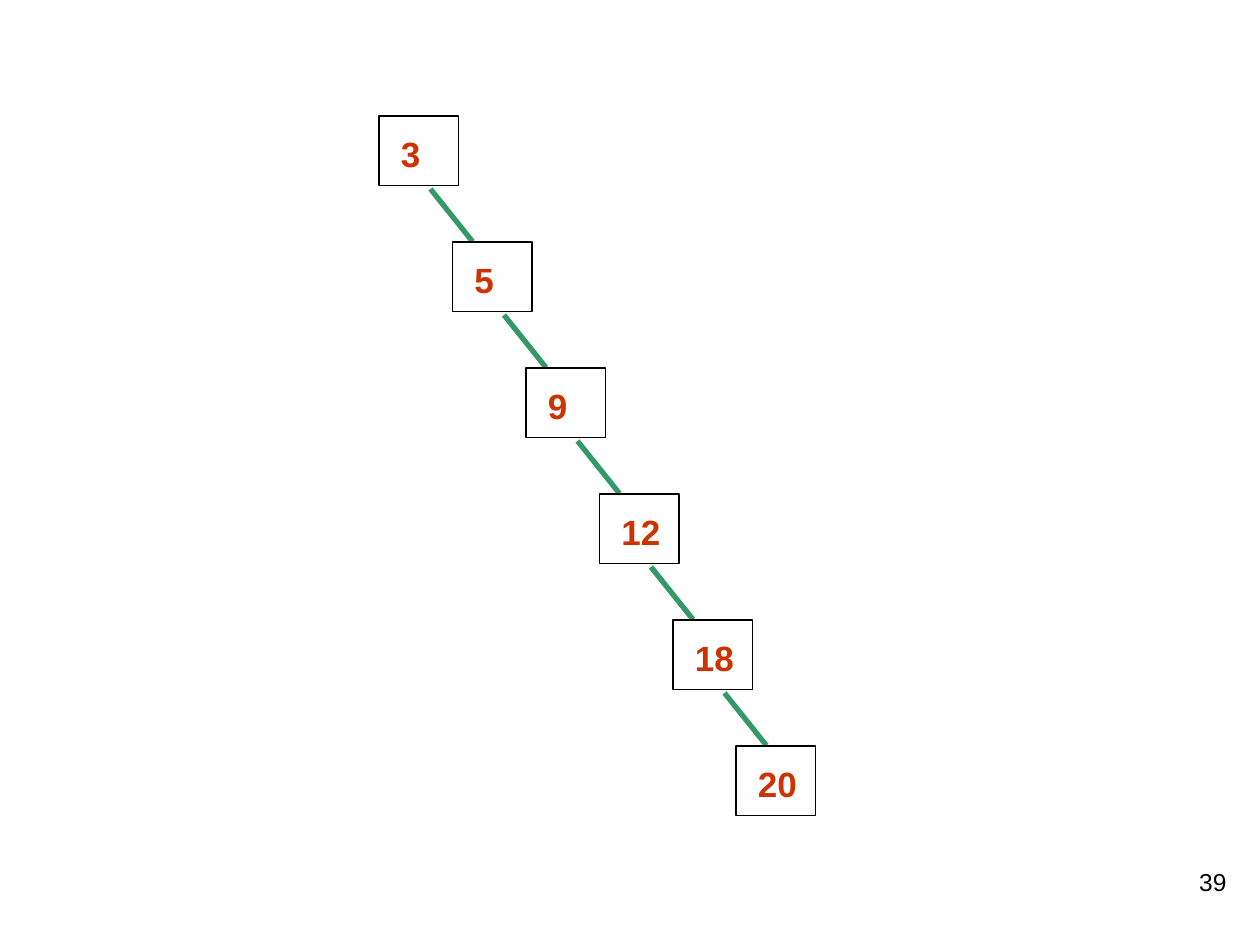
from lxml.etree import SubElement
from pptx import Presentation
from pptx.dml.color import RGBColor
from pptx.enum.shapes import MSO_CONNECTOR as CONN, MSO_SHAPE as SHAPE
from pptx.enum.text import MSO_AUTO_SIZE as FIT, PP_ALIGN as ALIGN
from pptx.oxml.ns import qn
from pptx.util import Pt

BLACK = RGBColor(0x00, 0x00, 0x00)
RED = RGBColor(0xCC, 0x33, 0x00)
GREEN = RGBColor(0x33, 0x99, 0x66)

KEYS = [3, 5, 9, 12, 18, 20]
STEP_X, STEP_Y = 42, 72
LAST_SHIFT = -6


class Deck:
    font = {"name": "Arial"}
    key_font = {"size": Pt(20), "bold": True}
    number_font = {"size": Pt(14), "bold": False}

    def __init__(self, width, height):
        self.prs = Presentation()
        self.prs.slide_width, self.prs.slide_height = Pt(width), Pt(height)
        self.s = self.prs.slides.add_slide(self.prs.slide_layouts[6])

    def box(self, x, y, w, h):
        sp = self.s.shapes.add_shape(SHAPE.RECTANGLE, Pt(x), Pt(y), Pt(w), Pt(h))
        sp.shadow.inherit = False
        sp.fill.background()
        sp.line.color.rgb = BLACK
        sp.line.width = Pt(0.75)

    def text(self, text, x, y, w, h, font, color, align=ALIGN.LEFT, fit=FIT.NONE):
        tf = self.s.shapes.add_textbox(Pt(x), Pt(y), Pt(w), Pt(h)).text_frame
        tf.word_wrap = True
        tf.auto_size = fit
        p = tf.paragraphs[0]
        p.alignment = align
        r = p.add_run()
        r.text = text
        for name, value in {**self.font, **font}.items():
            setattr(r.font, name, value)
        r.font.color.rgb = color

    def line(self, x1, y1, x2, y2):
        c = self.s.shapes.add_connector(CONN.STRAIGHT, Pt(x1), Pt(y1), Pt(x2), Pt(y2))
        c.line.color.rgb = GREEN
        c.line.width = Pt(3)
        SubElement(c._element.spPr, qn("a:effectLst"))

    def node(self, key, x, y):
        self.box(x, y, 45.5, 39.75)
        self.text(str(key), x + 5.5, y + 5.75, 39.5, 31.5,
                  self.key_font, RED, fit=FIT.SHAPE_TO_FIT_TEXT)


def main():
    deck = Deck(720, 540)
    last = len(KEYS) - 1
    for i, key in enumerate(KEYS):
        dx, dy = i * STEP_X, i * STEP_Y
        shift = LAST_SHIFT if i == last else 0
        deck.node(key, 216.5 + dx + shift, 66.25 + dy)
        if i < last:
            deck.line(246 + dx, 108 + dy, 270 + dx, 138 + dy)
    deck.text("39", 558, 492, 150, 36, deck.number_font, BLACK, ALIGN.RIGHT)
    deck.prs.save("out.pptx")


if __name__ == "__main__":
    main()
